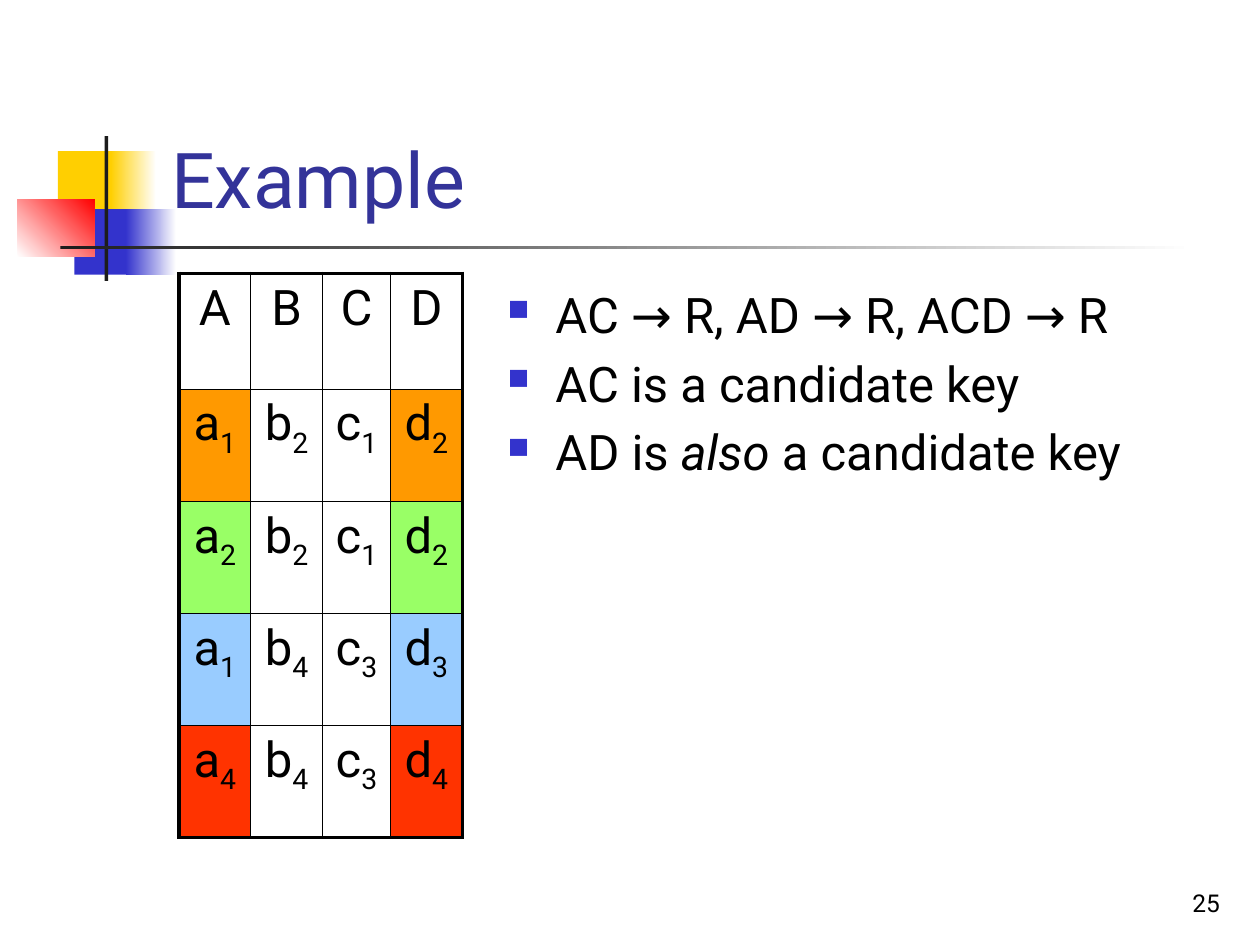
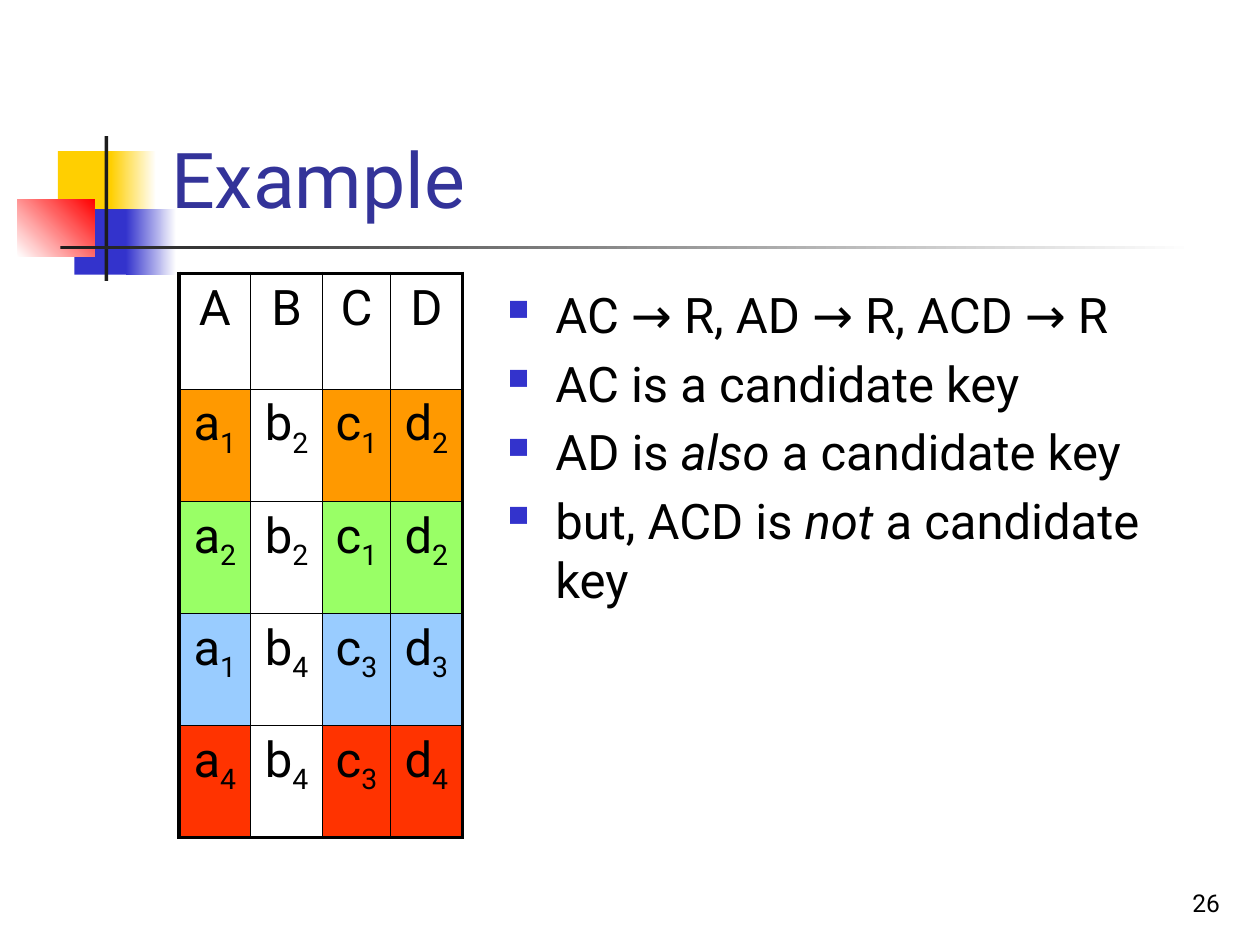
"""Build two slides on candidate keys, each with a relation table and bullets."""
from dataclasses import dataclass

from lxml import etree
from pptx import Presentation
from pptx.dml.color import RGBColor
from pptx.enum.shapes import MSO_SHAPE
from pptx.enum.text import MSO_ANCHOR, PP_ALIGN
from pptx.oxml.ns import qn
from pptx.util import Inches, Pt

RECT = MSO_SHAPE.RECTANGLE
TOP, BOTTOM = MSO_ANCHOR.TOP, MSO_ANCHOR.BOTTOM
LEFT, CENTER, RIGHT = PP_ALIGN.LEFT, PP_ALIGN.CENTER, PP_ALIGN.RIGHT


@dataclass(frozen=True)
class Theme:
    font: str = "Roboto"
    text: str = "000000"
    title: str = "333399"
    accent: str = "3333CC"
    yellow: str = "FFCF01"
    red: str = "FF0000"
    dark: str = "1C1C1C"
    paper: str = "FFFFFF"
    title_size: int = 44
    body_size: int = 28
    number_size: int = 14
    outer_line: float = 2.25
    inner_line: float = 1


T = Theme()

TITLE = "Example"
RELATION = [
    ("A", "B", "C", "D"),
    ("a1", "b2", "c1", "d2"),
    ("a2", "b2", "c1", "d2"),
    ("a1", "b4", "c3", "d3"),
    ("a4", "b4", "c3", "d4"),
]
ROW_FILLS = [None, "FF9900", "99FF66", "99CCFF", "FF3300"]
FACTS = [
    [("AC → R, AD → R, ACD → R", False)],
    [("AC is a candidate key", False)],
    [("AD is ", False), ("also", True), (" a candidate key", False)],
    [("but, ACD is ", False), ("not", True), (" a candidate key", False)],
]
SLIDES = [
    {"number": 25, "marked": "AD", "facts": FACTS[:3]},
    {"number": 26, "marked": "ACD", "facts": FACTS},
]

TITLE_BOX = (1.26, 0.23, 8.52, 1.6)
FACTS_BOX = (3.93, 2.21, 5.87, 4.5)
NUMBER_BOX = (7.7, 6.83, 2.08, 0.5)
TABLE_AT = (1.42, 2.17)
COLUMNS = (0.57, 0.57, 0.54, 0.57)
HEAD_ROW, DATA_ROW = 0.92, 0.89
HANG = 0.38
DECOR = [
    ((0.46, 1.2, 0.48, 0.52), (T.yellow,), 0),
    ((0.88, 1.2, 0.36, 0.52), (T.yellow, T.paper), 0),
    ((0.59, 1.66, 0.46, 0.52), (T.accent,), 0),
    ((1, 1.66, 0.4, 0.52), (T.accent, T.paper), 0),
    ((0.14, 1.58, 0.61, 0.46), (T.paper, T.red), 45),
    ((0.83, 1.08, 0.03, 1.15), (T.dark,), 0),
    ((0.48, 1.95, 9, 0.03), (T.dark, T.paper), 0),
]


def rgb(color):
    return RGBColor.from_string(color)


def inches(box):
    return [Inches(v) for v in box]


def add_run(p, text, size, color=T.text, italic=False):
    r = p.add_run()
    r.text = text
    r.font.name, r.font.size = T.font, Pt(size)
    r.font.color.rgb = rgb(color)
    if italic:
        r.font.italic = True
    return r


def add_frame(s, box, anchor):
    tf = s.shapes.add_textbox(*inches(box)).text_frame
    tf.word_wrap = True
    tf.vertical_anchor = anchor
    return tf


def add_line(s, box, text, size, color=T.text, align=LEFT):
    p = add_frame(s, box, BOTTOM).paragraphs[0]
    p.alignment = align
    add_run(p, text, size, color)


def add_decor(s):
    for box, colors, angle in DECOR:
        sp = s.shapes.add_shape(RECT, *inches(box))
        sp.shadow.inherit = False
        sp.line.fill.background()
        if len(colors) == 1:
            sp.fill.solid()
            sp.fill.fore_color.rgb = rgb(colors[0])
            continue
        sp.fill.gradient()
        sp.fill.gradient_angle = angle
        for stop, color in zip(sp.fill.gradient_stops, colors):
            stop.color.rgb = rgb(color)


def add_bullet(p):
    pPr = p._p.get_or_add_pPr()
    pPr.set("marL", str(Inches(HANG)))
    pPr.set("indent", str(-Inches(HANG)))
    clr = etree.SubElement(pPr, qn("a:buClr"))
    etree.SubElement(clr, qn("a:srgbClr"), val=T.accent)
    etree.SubElement(pPr, qn("a:buSzPct"), val="60000")
    etree.SubElement(pPr, qn("a:buChar"), char="■")


def add_facts(s, facts):
    tf = add_frame(s, FACTS_BOX, TOP)
    for i, fact in enumerate(facts):
        p = tf.add_paragraph() if i else tf.paragraphs[0]
        add_bullet(p)
        if i:
            p.space_before = Pt(0.2 * T.body_size)
        for text, italic in fact:
            add_run(p, text, T.body_size, italic=italic)


def set_borders(cell, outer):
    tcPr = cell._tc.get_or_add_tcPr()
    for i, side in enumerate("LRTB"):
        width = T.outer_line if side in outer else T.inner_line
        ln = etree.Element(qn(f"a:ln{side}"), w=str(Pt(width)))
        fill = etree.SubElement(ln, qn("a:solidFill"))
        etree.SubElement(fill, qn("a:srgbClr"), val=T.text)
        tcPr.insert(i, ln)


def add_relation(s, marked):
    heads = RELATION[0]
    last_row, last_col = len(RELATION) - 1, len(heads) - 1
    heights = [HEAD_ROW] + [DATA_ROW] * last_row
    box = (*TABLE_AT, sum(COLUMNS), sum(heights))
    table = s.shapes.add_table(len(RELATION), len(heads), *inches(box)).table
    table.first_row = table.horz_banding = False
    for col, width in zip(table.columns, COLUMNS):
        col.width = Inches(width)
    for i, values in enumerate(RELATION):
        table.rows[i].height = Inches(heights[i])
        for j, value in enumerate(values):
            cell = table.cell(i, j)
            if ROW_FILLS[i] and heads[j] in marked:
                cell.fill.solid()
                cell.fill.fore_color.rgb = rgb(ROW_FILLS[i])
            else:
                cell.fill.background()
            edges = {"L": j == 0, "R": j == last_col, "T": i == 0, "B": i == last_row}
            set_borders(cell, [side for side, on in edges.items() if on])
            p = cell.text_frame.paragraphs[0]
            p.alignment = CENTER
            add_run(p, value[0], T.body_size)
            if value[1:]:
                r = add_run(p, value[1:], T.body_size)
                r._r.get_or_add_rPr().set("baseline", "-25000")


def main():
    prs = Presentation()
    prs.slide_width, prs.slide_height = Inches(10), Inches(7.5)
    for content in SLIDES:
        s = prs.slides.add_slide(prs.slide_layouts[6])
        s.background.fill.solid()
        s.background.fill.fore_color.rgb = rgb(T.paper)
        add_decor(s)
        add_line(s, NUMBER_BOX, str(content["number"]), T.number_size, align=RIGHT)
        add_line(s, TITLE_BOX, TITLE, T.title_size, T.title)
        add_facts(s, content["facts"])
        add_relation(s, content["marked"])
    prs.save("out.pptx")


if __name__ == "__main__":
    main()
